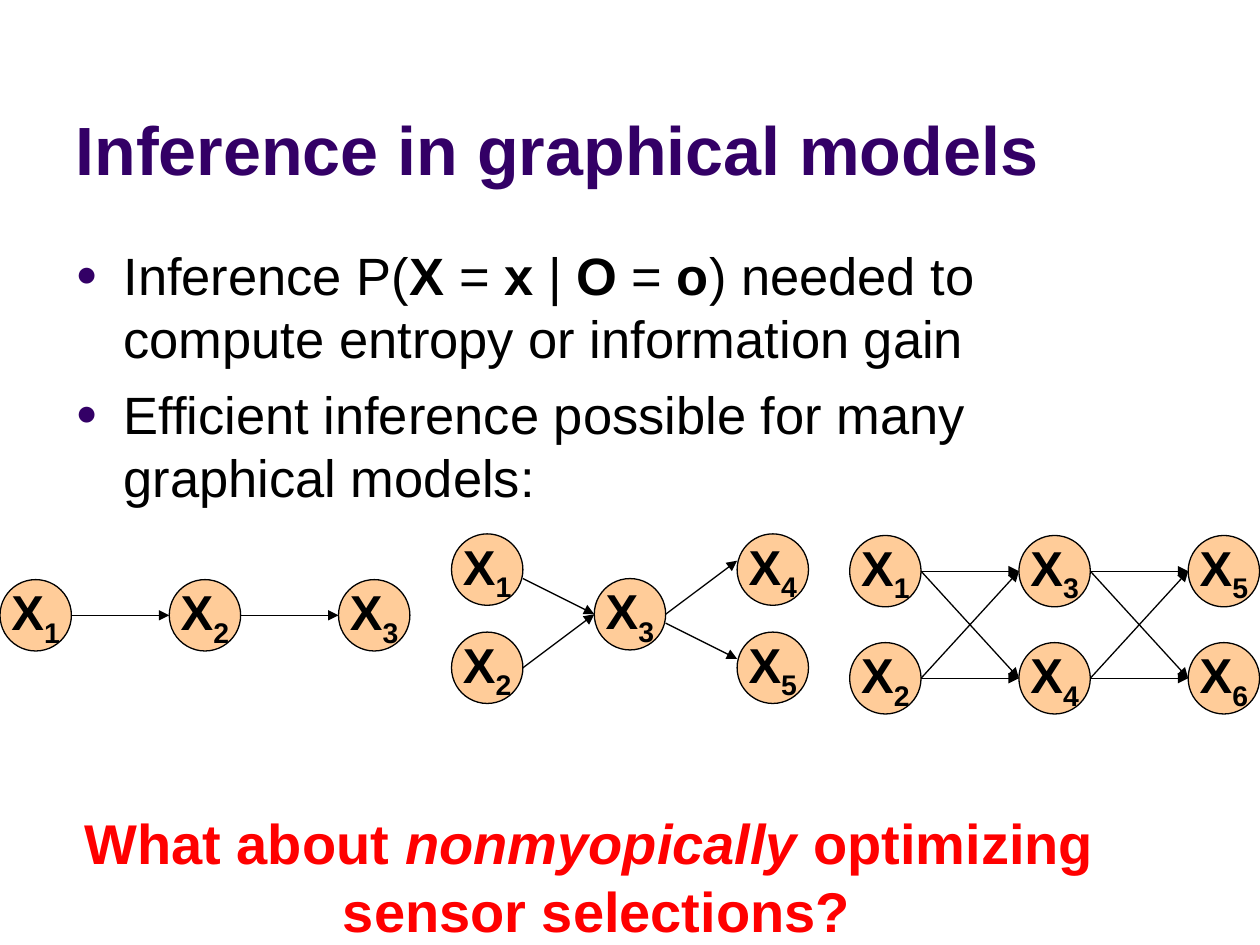
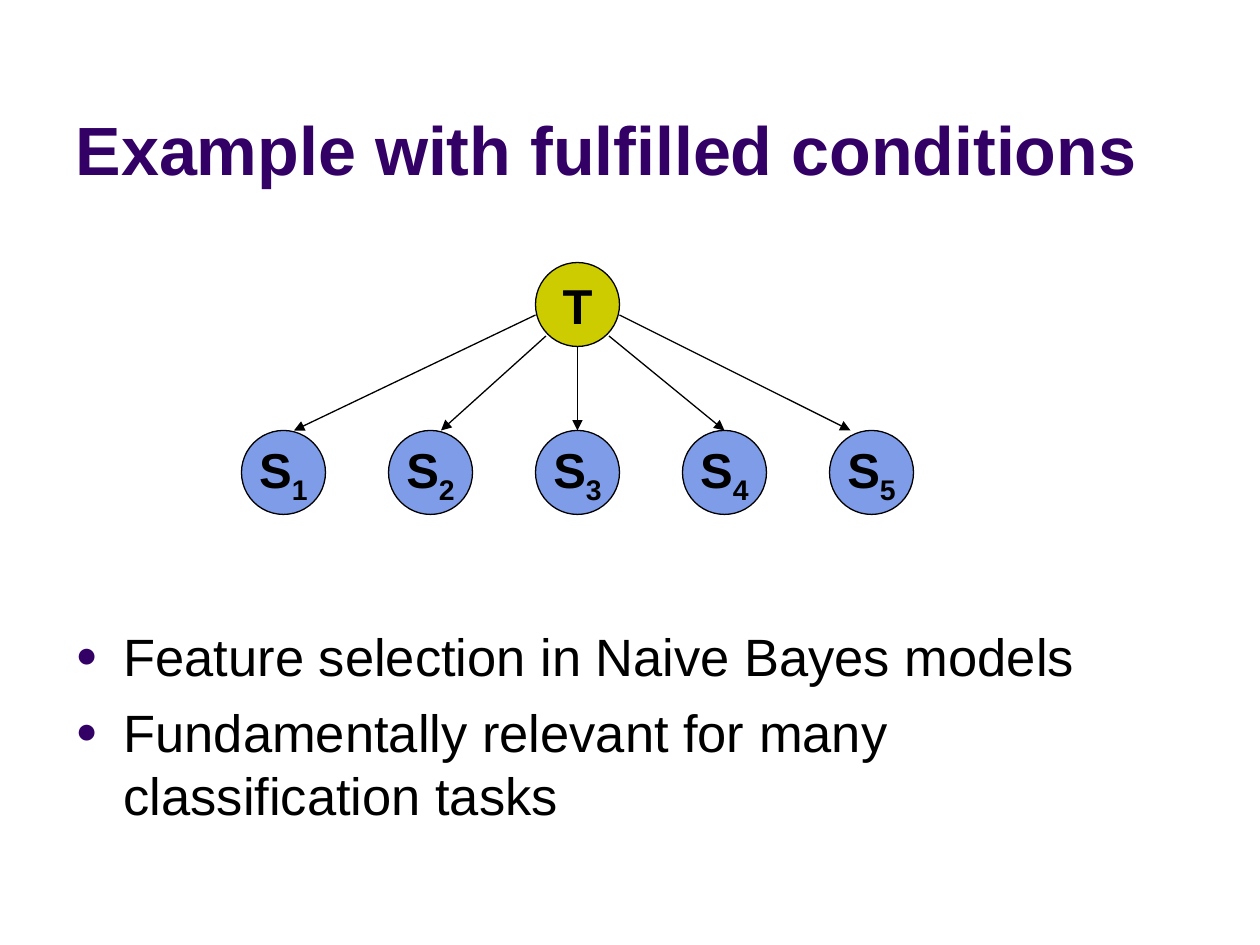
from dataclasses import dataclass

from lxml import etree
from pptx import Presentation
from pptx.dml.color import RGBColor
from pptx.enum.shapes import MSO_CONNECTOR, MSO_SHAPE
from pptx.enum.text import MSO_ANCHOR, MSO_AUTO_SIZE, PP_ALIGN
from pptx.oxml.ns import qn
from pptx.util import Inches, Pt

OVAL = MSO_SHAPE.OVAL
STRAIGHT = MSO_CONNECTOR.STRAIGHT
LEFT, CENTER = PP_ALIGN.LEFT, PP_ALIGN.CENTER
TOP, MIDDLE, BOTTOM = MSO_ANCHOR.TOP, MSO_ANCHOR.MIDDLE, MSO_ANCHOR.BOTTOM
NO_AUTOFIT = MSO_AUTO_SIZE.NONE

# The slide is a grid of 120 columns and 90 rows
COLUMNS, ROWS = 120, 90
SLIDE_WIDTH, SLIDE_HEIGHT = Inches(10), Inches(7.5)
UNIT = SLIDE_WIDTH // COLUMNS
MARGIN = 6


@dataclass(frozen=True)
class Theme:
    font: str = "Arial"
    title_color: str = "330066"
    text_color: str = "000000"
    question_color: str = "FF0000"
    variable_fill: str = "FFCC99"
    target_fill: str = "CCCC00"
    sensor_fill: str = "7E9CE8"
    title_size: float = 39
    body_size: float = 30
    node_size: float = 28
    question_size: float = 32
    line_width: float = 0.75
    bullet_gap: float = 7.5


THEME = Theme()


@dataclass(frozen=True)
class Box:
    """A rectangle in grid columns and rows."""
    column: float
    row: float
    width: float
    height: float


@dataclass(frozen=True)
class Span:
    """A stretch of text in one style."""
    text: str
    bold: bool = False
    italic: bool = False
    subscript: bool = False
    break_before: bool = False


@dataclass(frozen=True)
class Node:
    letter: str
    number: str
    column: float
    row: float
    size: float
    fill: str


@dataclass(frozen=True)
class Edge:
    """An arrow between two nodes, its ends shifted by rows."""
    start: int
    end: int
    start_shift: float = 0
    end_shift: float = 0


# Drawing functions
def grid(value: float) -> int:
    return round(value * UNIT)


def place(shape, box: Box) -> None:
    shape.left, shape.top = grid(box.column), grid(box.row)
    shape.width, shape.height = grid(box.width), grid(box.height)


def write_spans(paragraph, spans: list[Span], size: float, color: str) -> None:
    for span in spans:
        if span.break_before:
            paragraph.add_line_break()
        run = paragraph.add_run()
        run.text = span.text
        font = run.font
        font.name, font.size = THEME.font, Pt(size)
        font.bold, font.italic = span.bold, span.italic
        font.color.rgb = RGBColor.from_string(color)
        if span.subscript:
            run._r.get_or_add_rPr().set("baseline", "-25000")


def add_bullet(paragraph) -> None:
    properties = paragraph._p.get_or_add_pPr()
    properties.set("marL", str(Inches(0.38)))
    properties.set("indent", str(-Inches(0.38)))
    color = etree.SubElement(properties, qn("a:buClr"))
    etree.SubElement(color, qn("a:srgbClr"), val=THEME.title_color)
    etree.SubElement(properties, qn("a:buSzPct"), val="70000")
    etree.SubElement(properties, qn("a:buChar"), char="●")


def add_titled_slide(presentation, title: str, title_width: float,
                     body_box: Box, bullets: list[list[Span]]):
    slide = presentation.slides.add_slide(presentation.slide_layouts[1])
    title_shape, body = slide.shapes.title, slide.placeholders[1]
    place(title_shape, Box(MARGIN, 1.56, title_width, 17.04))
    place(body, body_box)
    for shape, anchor in ((title_shape, BOTTOM), (body, TOP)):
        shape.text_frame.auto_size = NO_AUTOFIT
        shape.text_frame.word_wrap = True
        shape.text_frame.vertical_anchor = anchor

    heading = title_shape.text_frame.paragraphs[0]
    heading.alignment = LEFT
    write_spans(heading, [Span(title, bold=True)],
                THEME.title_size, THEME.title_color)

    for index, spans in enumerate(bullets):
        frame = body.text_frame
        paragraph = frame.add_paragraph() if index else frame.paragraphs[0]
        add_bullet(paragraph)
        paragraph.space_before = Pt(THEME.bullet_gap if index else 0)
        write_spans(paragraph, spans, THEME.body_size, THEME.text_color)
    return slide


def draw_arrow(slide, start: tuple[float, float],
               end: tuple[float, float]) -> None:
    arrow = slide.shapes.add_connector(
        STRAIGHT, *(grid(value) for value in (*start, *end)))
    arrow.line.color.rgb = RGBColor.from_string(THEME.text_color)
    arrow.line.width = Pt(THEME.line_width)
    etree.SubElement(arrow.line._get_or_add_ln(), qn("a:tailEnd"),
                     type="triangle")
    etree.SubElement(arrow._element.spPr, qn("a:effectLst"))


def draw_node(slide, node: Node) -> None:
    circle = slide.shapes.add_shape(
        OVAL, grid(node.column), grid(node.row),
        grid(node.size), grid(node.size))
    circle.shadow.inherit = False
    circle.fill.solid()
    circle.fill.fore_color.rgb = RGBColor.from_string(node.fill)
    circle.line.color.rgb = RGBColor.from_string(THEME.text_color)
    circle.line.width = Pt(THEME.line_width)
    frame = circle.text_frame
    frame.word_wrap = False
    frame.vertical_anchor = MIDDLE
    spans = [Span(node.letter, bold=True)]
    if node.number:
        spans.append(Span(node.number, bold=True, subscript=True))
    frame.paragraphs[0].alignment = CENTER
    write_spans(frame.paragraphs[0], spans, THEME.node_size, THEME.text_color)


def draw_network(slide, places: list[tuple[float, float]],
                 edges: list[Edge]) -> None:
    """Draw X1, X2, ... at the given places, with arrows left to right."""
    size = 6.8
    for number, (column, row) in enumerate(places, start=1):
        draw_node(slide, Node("X", str(number), column, row, size,
                              THEME.variable_fill))
    for edge in edges:
        start_column, start_row = places[edge.start - 1]
        end_column, end_row = places[edge.end - 1]
        draw_arrow(slide,
                   (start_column + size, start_row + size / 2 + edge.start_shift),
                   (end_column, end_row + size / 2 + edge.end_shift))


# Slides
def build_inference_slide(presentation) -> None:
    slide = add_titled_slide(
        presentation, "Inference in graphical models", 99,
        Box(MARGIN, 22.5, 108, 28.4),
        [[Span("Inference P("), Span("X", bold=True), Span(" = "),
          Span("x", bold=True), Span(" | "), Span("O ", bold=True),
          Span("= "), Span("o", bold=True),
          Span(") needed to compute entropy or information gain")],
         [Span("Efficient inference possible for many graphical models:")]])

    # Chain
    step = 16.12
    draw_network(slide, [(index * step, 55.2) for index in range(3)],
                 [Edge(1, 2), Edge(2, 3)])

    # Tree
    first, middle, last = (43 + 13.6 * index for index in range(3))
    upper, center, lower = 50.85, 55.1, 60.2
    shift = 0.85
    draw_network(
        slide,
        [(first, upper), (first, lower), (middle, center),
         (last, upper), (last, lower)],
        [Edge(1, 3, start_shift=shift), Edge(2, 3),
         Edge(3, 4, end_shift=-shift),
         Edge(3, 5, start_shift=shift, end_shift=-shift)])

    # Layers, each fully linked to the next
    draw_network(
        slide,
        [(80.92 + layer * step, row) for layer in range(3)
         for row in (51, 61.2)],
        [Edge(start, end) for layer in (1, 3)
         for start in (layer, layer + 1)
         for end in (layer + 2, layer + 3)])

    # Closing question
    question = slide.shapes.add_textbox(
        grid(6.84), grid(76.44), grid(100), grid(14))
    question.text_frame.word_wrap = False
    paragraph = question.text_frame.paragraphs[0]
    paragraph.alignment = CENTER
    write_spans(paragraph,
                [Span("What about ", bold=True),
                 Span("nonmyopically ", bold=True, italic=True),
                 Span("optimizing ", bold=True),
                 Span("sensor selections?", bold=True, break_before=True)],
                THEME.question_size, THEME.question_color)


def build_example_slide(presentation) -> None:
    slide = add_titled_slide(
        presentation, "Example with fulfilled conditions", 114,
        Box(MARGIN, 58.8, 108, 21.6),
        [[Span("Feature selection in Naive Bayes models")],
         [Span("Fundamentally relevant for many classification tasks")]])

    # Target above five sensors
    size, sensor_row = 8, 41
    draw_node(slide, Node("T", "", 51, 25, size, THEME.target_fill))
    for index in range(5):
        draw_node(slide, Node("S", str(index + 1), 23 + 14 * index,
                              sensor_row, size, THEME.sensor_fill))
    arrows = [((51, 30), 28), ((52, 32), 42), ((55, 33), 55),
              ((58, 32), 69), ((59, 30), 81)]
    for start, end_column in arrows:
        draw_arrow(slide, start, (end_column, sensor_row))


def main() -> None:
    presentation = Presentation()
    presentation.slide_width = SLIDE_WIDTH
    presentation.slide_height = SLIDE_HEIGHT
    build_inference_slide(presentation)
    build_example_slide(presentation)
    presentation.save("out.pptx")


if __name__ == "__main__":
    main()
